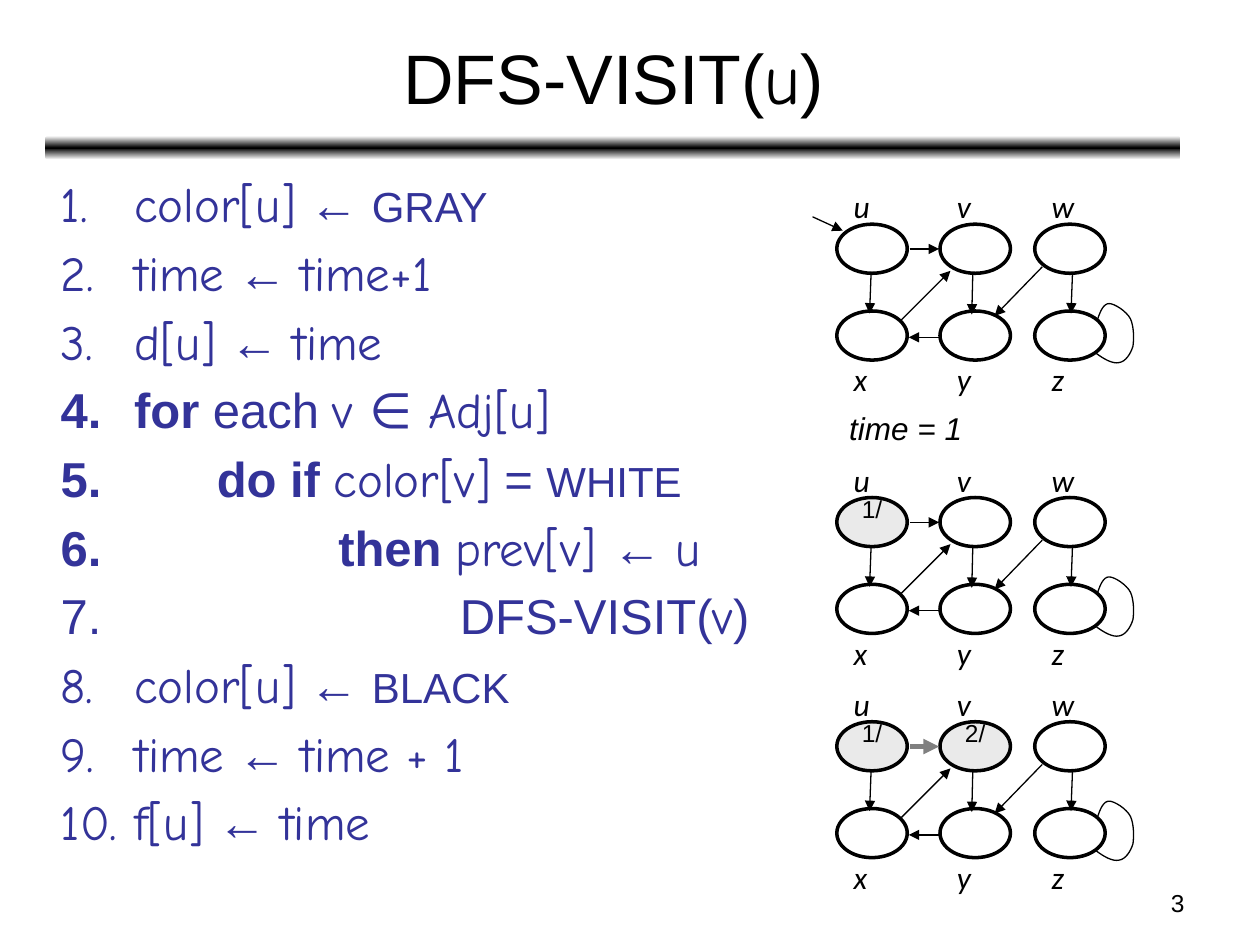
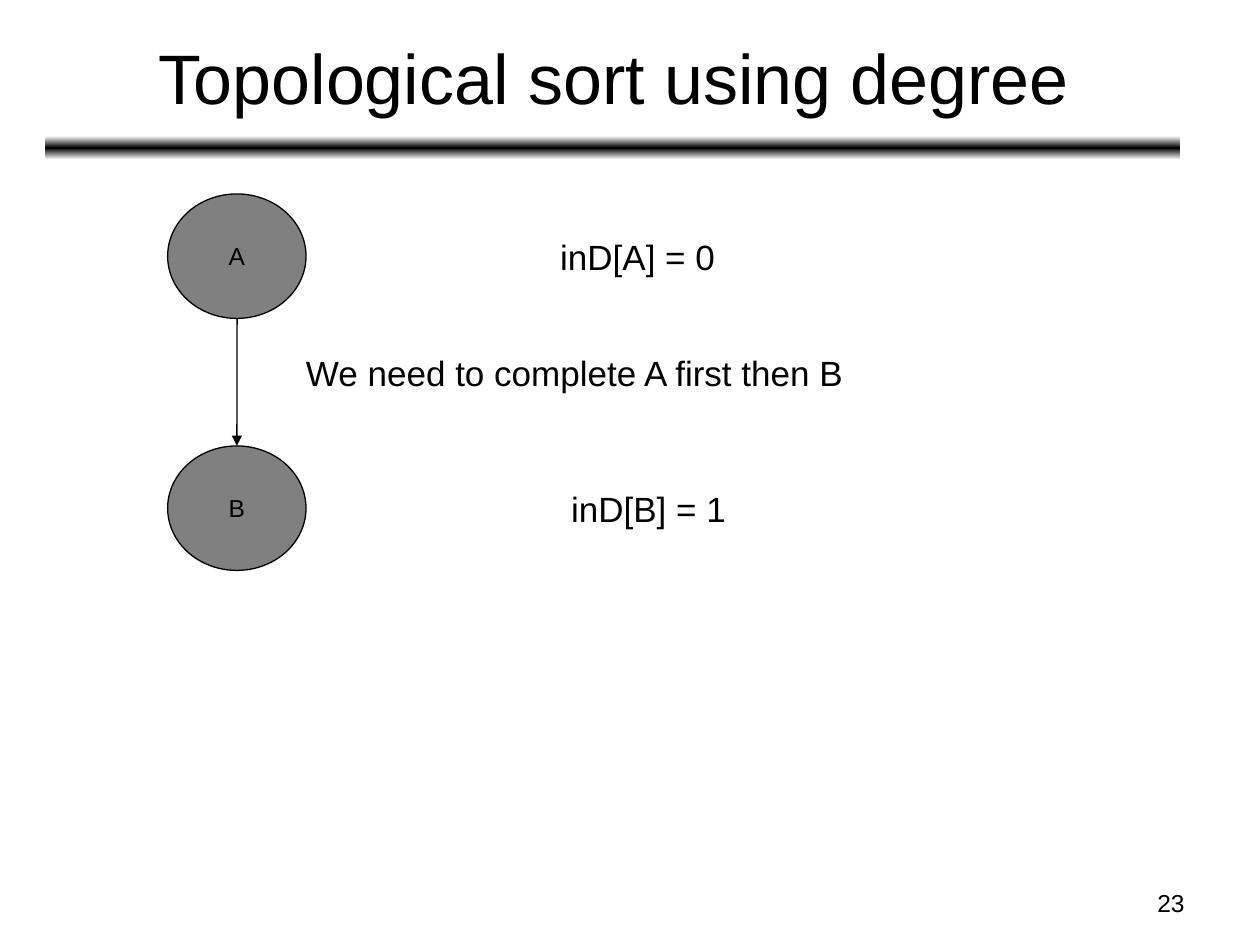
from copy import deepcopy

from lxml import etree
from pptx import Presentation
from pptx import util as u
from pptx.dml.color import RGBColor
from pptx.enum import shapes, text
from pptx.oxml.ns import qn

BLACK, WHITE, GRAY, PALE, INDIGO = "000000", "FFFFFF", "808080", "EAEAEA", "333399"
SANS, CODE, LABEL = "Arial", "Comic Neue", "Calibri"

# Style name: font, size, bold
STYLES = {
    "code": (CODE, 28, False),
    "plain": (SANS, 28, False),
    "bold": (SANS, 28, True),
    "constant": (SANS, 24, False),
}
ARROW = (" ← ", "plain")
INDENT, INDENT_STEP = 1.48, 2.45

# Indent steps, then the spans of each numbered line
DFS_STEPS = [
    (0, [("color[u]", "code"), ARROW, ("GRAY", "constant")]),
    (0, [("time", "code"), ARROW, ("time+1", "code")]),
    (0, [("d[u]", "code"), ARROW, ("time", "code")]),
    (0, [("for ", "bold"), ("each ", "plain"), ("v ∈ Adj[u]", "code")]),
    (0.68, [("do if ", "bold"), ("color[v]", "code"), (" = ", "plain"), ("WHITE", "constant")]),
    (1.68, [("then ", "bold"), ("prev[v] ", "code"), ("← ", "plain"), ("u", "code")]),
    (2.68, [("DFS-VISIT(", "plain"), ("v", "code"), (")", "plain")]),
    (0, [("color[u]", "code"), ARROW, ("BLACK", "constant")]),
    (0, [("time", "code"), ARROW, ("time + 1", "code")]),
    (0, [("f[u]", "code"), ARROW, ("time", "code")]),
]

# One graph, in cm from its top left corner
NODE_WIDTH, NODE_HEIGHT = 1.42, 0.99
COLUMNS = (0, 2.08, 3.99)
ROWS = (0, 1.75)
LABEL_TOPS = (-0.87, 2.62)
NODE_ROWS = ("uvw", "xyz")
EDGES = {
    "ux": ((0.69, 0.99), (0.66, 1.80)),
    "vy": ((2.74, 1.00), (2.72, 1.82)),
    "wz": ((4.75, 0.99), (4.72, 1.80)),
    "uv": ((1.47, 0.50), (2.06, 0.50)),
    "yx": ((2.06, 2.28), (1.45, 2.28)),
    "wy": ((4.14, 0.86), (3.18, 1.85)),
    "xv": ((1.30, 1.93), (2.29, 0.94)),
}
LOOP_START = (5.21, 2.59)
LOOP_CURVES = [
    ((5.38, 2.72), (5.56, 2.82), (5.69, 2.79)),
    ((5.82, 2.77), (5.92, 2.62), (5.97, 2.46)),
    ((5.99, 2.31), (5.99, 2.06), (5.92, 1.91)),
    ((5.84, 1.75), (5.59, 1.60), (5.49, 1.60)),
    ((5.38, 1.60), (5.31, 1.75), (5.26, 1.91)),
]
GRAPH_LEFT = 16.87
# Top, discovery times, highlighted edges
GRAPH_STATES = [
    (4.52, {}, ()),
    (10.03, {"u": "1/"}, ()),
    (14.55, {"u": "1/", "v": "2/"}, ("uv",)),
]

# Text, left, top
DEGREE_NOTES = [
    ("inD[A] = 0", 5.16, 4.50),
    ("We need to complete A first then B", 3.89, 6.83),
    ("inD[B] = 1", 5.38, 9.58),
]
DEGREE_NODES = [("A", 3.91), ("B", 8.99)]


def rgb(value):
    return RGBColor.from_string(value)


def place(shape, left, top, width, height):
    shape.left, shape.top = u.Cm(left), u.Cm(top)
    shape.width, shape.height = u.Cm(width), u.Cm(height)


def style_span(span, font, size, color=BLACK, bold=False, italic=False):
    span.font.name, span.font.size = font, u.Pt(size)
    span.font.bold, span.font.italic = bold, italic
    span.font.color.rgb = rgb(color)


def write(shape, words, font, size, align=text.PP_ALIGN.LEFT, italic=False):
    frame = shape.text_frame
    frame.word_wrap = True
    frame.text = words
    para = frame.paragraphs[0]
    para.alignment = align
    style_span(para.runs[0], font, size, italic=italic)


def add_text(parent, words, left, top, width, height, font, size, **options):
    box = parent.shapes.add_textbox(*map(u.Cm, (left, top, width, height)))
    write(box, words, font, size, **options)
    return box


def add_ellipse(parent, left, top, width, height, fill, weight):
    node = parent.shapes.add_shape(
        shapes.MSO_SHAPE.OVAL, *map(u.Cm, (left, top, width, height)))
    node.shadow.inherit = False
    if fill:
        node.fill.solid()
        node.fill.fore_color.rgb = rgb(fill)
    else:
        node.fill.background()
    node.line.color.rgb = rgb(BLACK)
    node.line.width = u.Pt(weight)
    node.text_frame.vertical_anchor = text.MSO_ANCHOR.MIDDLE
    return node


def add_arrow(parent, start, end, color=BLACK, weight=0.75):
    arrow = parent.shapes.add_connector(
        shapes.MSO_CONNECTOR.STRAIGHT, *map(u.Cm, (*start, *end)))
    arrow.line.color.rgb = rgb(color)
    arrow.line.width = u.Pt(weight)
    properties = arrow._element.spPr
    etree.SubElement(properties.find(qn("a:ln")), qn("a:tailEnd"), type="triangle")
    etree.SubElement(properties, qn("a:effectLst"))
    return arrow


def add_band(page):
    band = page.shapes.add_shape(
        shapes.MSO_SHAPE.ROUNDED_RECTANGLE, *map(u.Cm, (0.91, 2.74, 22.89, 0.48)))
    band.shadow.inherit = False
    band.line.fill.background()
    band.fill.gradient()
    band.fill.gradient_angle = 90
    stops = band._element.spPr.find(".//" + qn("a:gsLst"))
    stops.append(deepcopy(stops[-1]))
    colors = (WHITE, BLACK, WHITE)
    for stop, color, position in zip(band.fill.gradient_stops, colors, (0, 0.5, 1)):
        stop.color.rgb = rgb(color)
        stop.position = position


def add_page(deck, layout, title_spans, number):
    """Add a slide with the shared title, band and page number."""
    page = deck.slides.add_slide(deck.slide_layouts[layout])
    add_band(page)
    title = page.shapes.title
    place(title, 0.94, 0.28, 22.86, 2.51)
    title.text_frame.auto_size = text.MSO_AUTO_SIZE.NONE
    title.text_frame.vertical_anchor = text.MSO_ANCHOR.MIDDLE
    para = title.text_frame.paragraphs[0]
    para.alignment = text.PP_ALIGN.CENTER
    for words, font in title_spans:
        span = para.add_run()
        span.text = words
        style_span(span, font, 40)
    add_text(page, number, 18.21, 17.78, 5.92, 0.89, SANS, 14, align=text.PP_ALIGN.RIGHT)
    return page


def number_line(para, indent):
    properties = para._p.get_or_add_pPr()
    properties.set("marL", str(u.Cm(indent)))
    properties.set("indent", str(-u.Cm(indent)))
    color = etree.SubElement(properties, qn("a:buClr"))
    etree.SubElement(color, qn("a:srgbClr"), val=INDIGO)
    etree.SubElement(properties, qn("a:buAutoNum"), type="arabicPeriod")


def fill_steps(body):
    place(body, 0.97, 3.38, 22.86, 14.86)
    frame = body.text_frame
    frame.auto_size = text.MSO_AUTO_SIZE.NONE
    for index, (steps, spans) in enumerate(DFS_STEPS):
        para = frame.add_paragraph() if index else frame.paragraphs[0]
        para.space_before = u.Pt(5.6 if index else 0)
        number_line(para, INDENT + steps * INDENT_STEP)
        for words, style in spans:
            span = para.add_run()
            span.text = words
            font, size, bold = STYLES[style]
            style_span(span, font, size, INDIGO, bold)


def curve_points(start, curves, pieces=8):
    """Return points along a chain of cubic Bézier curves."""
    points = [start]
    for first, second, end in curves:
        begin = points[-1]
        for step in range(1, pieces + 1):
            t = step / pieces
            weights = ((1 - t) ** 3, 3 * t * (1 - t) ** 2, 3 * t * t * (1 - t), t ** 3)
            corners = (begin, first, second, end)
            points.append(tuple(
                sum(weight * corner[axis] for weight, corner in zip(weights, corners))
                for axis in (0, 1)))
    return points


def add_loop(parent, shift):
    points = [tuple(map(u.Cm, shift(point)))
              for point in curve_points(LOOP_START, LOOP_CURVES)]
    builder = parent.shapes.build_freeform(*points[0])
    builder.add_line_segments(points[1:], close=False)
    loop = builder.convert_to_shape()
    loop.shadow.inherit = False
    loop.fill.background()
    loop.line.color.rgb = rgb(BLACK)
    loop.line.width = u.Pt(0.75)


def add_graph(page, top, times, highlighted):
    def shift(point):
        return GRAPH_LEFT + point[0], top + point[1]

    group = page.shapes.add_group_shape()
    for names, row, label_top in zip(NODE_ROWS, ROWS, LABEL_TOPS):
        for name, column in zip(names, COLUMNS):
            time = times.get(name)
            node = add_ellipse(group, *shift((column, row)), NODE_WIDTH, NODE_HEIGHT,
                               PALE if time else None, 2)
            if time:
                write(node, time, SANS, 14, align=text.PP_ALIGN.CENTER)
                node.text_frame.margin_top = 0
                node.text_frame.margin_bottom = u.Cm(0.55)
            add_text(group, name, *shift((column + 0.09, label_top)), 1, 1.02,
                     LABEL, 18, italic=True)
    for edge, (start, end) in EDGES.items():
        look = (GRAY, 3) if edge in highlighted else (BLACK, 0.75)
        add_arrow(group, shift(start), shift(end), *look)
    add_loop(group, shift)


def build_dfs(deck):
    page = add_page(deck, 1, [("DFS-VISIT(", SANS), ("u", CODE), (")", SANS)], "3")
    fill_steps(page.placeholders[1])
    for state in GRAPH_STATES:
        add_graph(page, *state)
    add_arrow(page, (16.38, 4.37), (16.99, 4.65))
    add_text(page, "time = 1", GRAPH_LEFT, 8.13, 2.79, 1.02, SANS, 18, italic=True)


def build_topological_sort(deck):
    page = add_page(deck, 5, [("Topological sort using degree", SANS)], "23")
    nodes = []
    for name, top in DEGREE_NODES:
        node = add_ellipse(page, 3.38, top, 2.79, 2.51, GRAY, 0.75)
        write(node, name, SANS, 14, align=text.PP_ALIGN.CENTER)
        nodes.append(node)
    arrow = add_arrow(page, (4.78, 6.42), (4.78, 8.99))
    arrow.end_connect(nodes[1], 0)
    for words, left, top in DEGREE_NOTES:
        box = add_text(page, words, left, top, 15.39, 1.37, SANS, 20,
                       align=text.PP_ALIGN.CENTER)
        box.text_frame.margin_top = box.text_frame.margin_bottom = u.Cm(0.25)


def main():
    deck = Presentation()
    deck.slide_width, deck.slide_height = u.Cm(25.4), u.Cm(19.05)
    build_dfs(deck)
    build_topological_sort(deck)
    deck.save("out.pptx")


if __name__ == "__main__":
    main()
